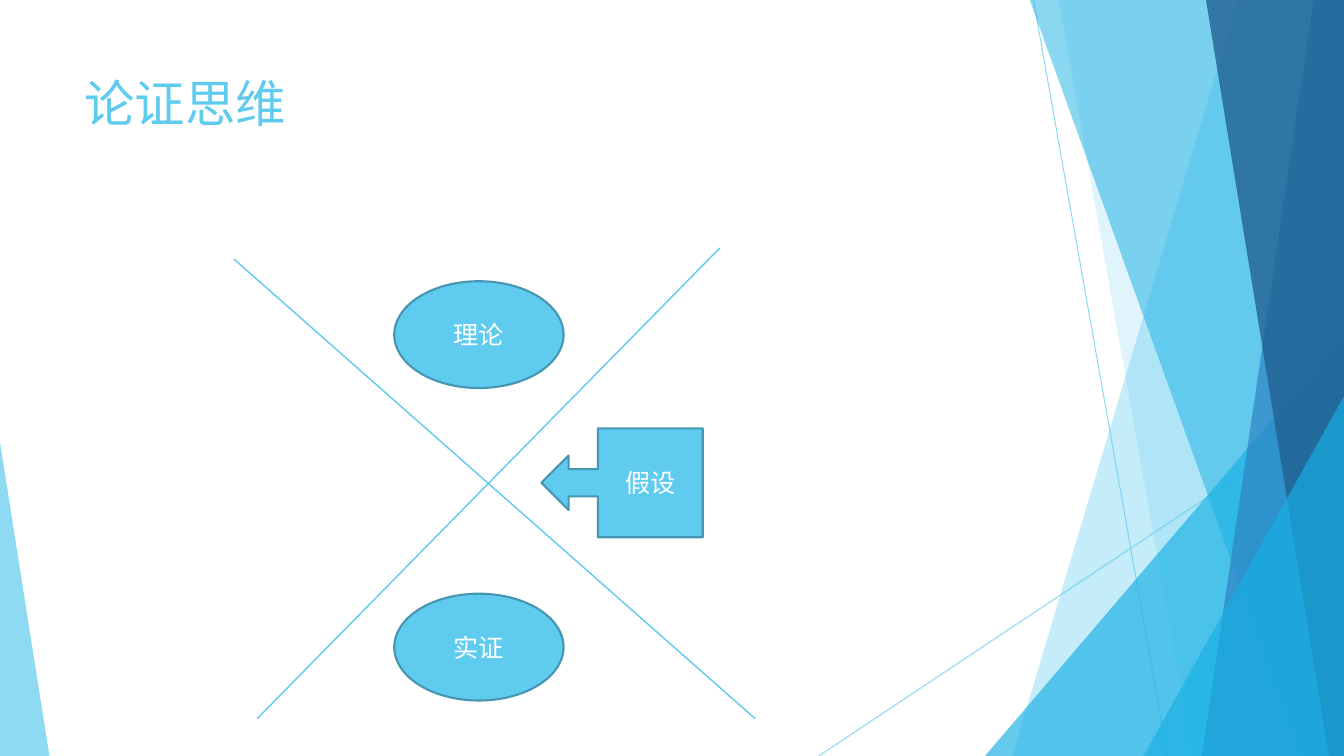
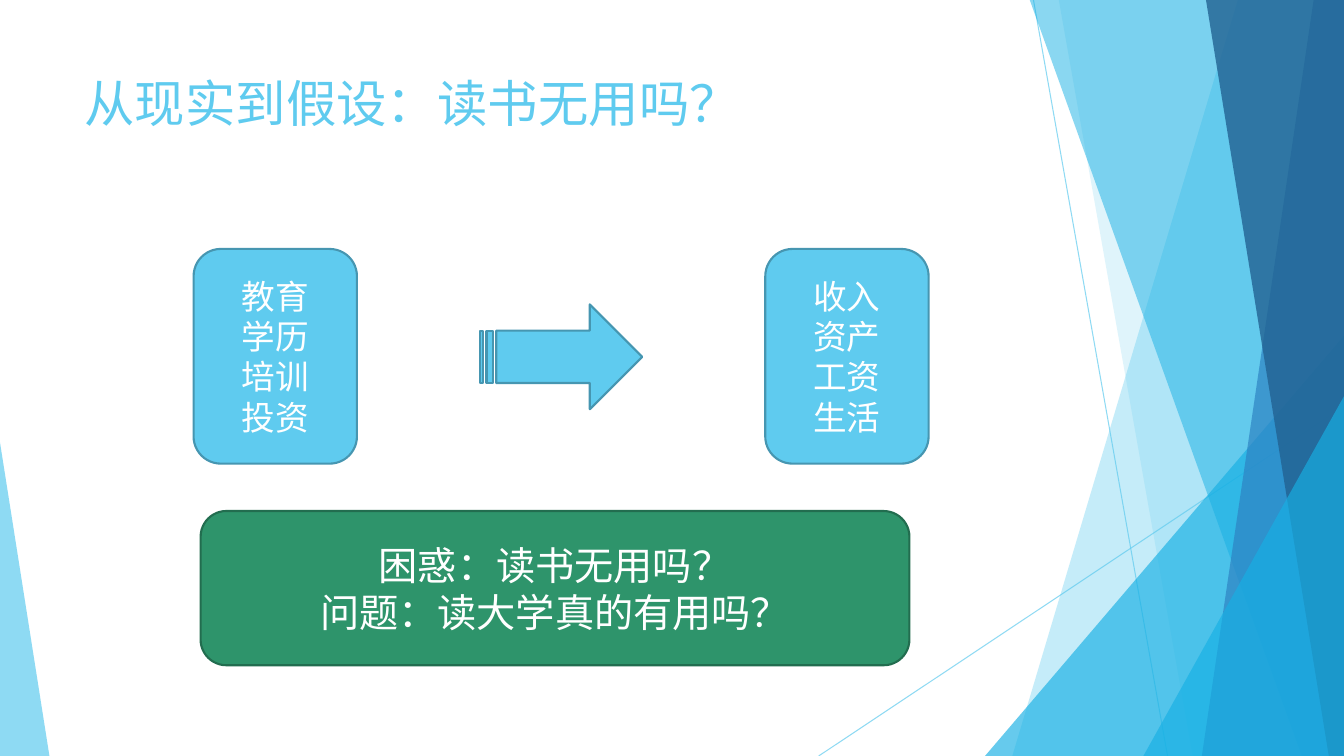
from collections import namedtuple
from dataclasses import dataclass

from lxml import etree
from pptx import Presentation
from pptx.dml.color import RGBColor
from pptx.enum.shapes import MSO_CONNECTOR, MSO_SHAPE
from pptx.enum.text import MSO_ANCHOR, PP_ALIGN
from pptx.oxml.ns import qn
from pptx.util import Pt

STRAIGHT = MSO_CONNECTOR.STRAIGHT
TRIANGLE = MSO_SHAPE.ISOSCELES_TRIANGLE
ELLIPSE = MSO_SHAPE.OVAL
CALLOUT = MSO_SHAPE.LEFT_ARROW_CALLOUT
STRIPED_ARROW = MSO_SHAPE.STRIPED_RIGHT_ARROW
ROUNDED = MSO_SHAPE.ROUNDED_RECTANGLE
TOP, MIDDLE = MSO_ANCHOR.TOP, MSO_ANCHOR.MIDDLE
LEFT, CENTER = PP_ALIGN.LEFT, PP_ALIGN.CENTER

PX = 9144  # 100 px to the inch

Box = namedtuple("Box", "left top width height")


@dataclass(frozen=True)
class Theme:
    font: str = "Lato"
    sky: str = "5FCBEF"
    sky_edge: str = "4696B1"
    cyan: str = "17B0E4"
    blue: str = "2E83C3"
    navy: str = "226292"
    green: str = "2E946B"
    green_edge: str = "226D4F"
    white: str = "FFFFFF"
    title_size: int = 36
    banner_size: int = 28
    card_size: int = 24
    label_size: int = 18
    hairline: float = 0.75
    cross_line: float = 1
    outline: float = 1.5


THEME = Theme()
SLIDE = Box(0, 0, 1333, 750)
TITLE = Box(74, 67, 940, 144)
CROSS = Box(232, 246, 517, 467)
FLOW = Box(192, 247, 729, 413)

# Back to front: (top x, bottom x, colour, opacity); panels reach the right edge
BACK_PANELS = ((1228, 1004, THEME.sky, 36), (1050, 1183, THEME.sky, 20))
FRONT_PANELS = (
    (1021, 1291, THEME.cyan, 50),
    (1303, 1192, THEME.blue, 70),
    (1196, 1318, THEME.navy, 80),
)


def emu(*lengths):
    return [length * PX for length in lengths]


def inside(box, left, top, width, height):
    return Box(box.left + left, box.top + top, width, height)


def set_opacity(shape, percent):
    for color in shape._element.spPr.iter(qn("a:srgbClr")):
        etree.SubElement(color, qn("a:alpha"), val=str(percent * 1000))


def paint(shape, fill, edge=None):
    shape.shadow.inherit = False
    shape.fill.solid()
    shape.fill.fore_color.rgb = RGBColor.from_string(fill)
    if edge:
        shape.line.color.rgb = RGBColor.from_string(edge)
        shape.line.width = Pt(THEME.outline)
    else:
        shape.line.fill.background()


def add_line(slide, start, end, width, opacity=100):
    line = slide.shapes.add_connector(STRAIGHT, *emu(*start, *end))
    line.line.color.rgb = RGBColor.from_string(THEME.sky)
    line.line.width = Pt(width)
    etree.SubElement(line._element.spPr, qn("a:effectLst"))
    if opacity < 100:
        set_opacity(line, opacity)


def write(shape, lines, size, color, anchor=MIDDLE, alignment=CENTER):
    frame = shape.text_frame
    for name, value in {"word_wrap": True, "vertical_anchor": anchor}.items():
        setattr(frame, name, value)
    frame.text = "\n".join(lines)
    for paragraph in frame.paragraphs:
        paragraph.alignment = alignment
        for run in paragraph.runs:
            for name, value in {"name": THEME.font, "size": Pt(size)}.items():
                setattr(run.font, name, value)
            run.font.color.rgb = RGBColor.from_string(color)
            etree.SubElement(run._r.rPr, qn("a:ea"), typeface=THEME.font)


def add_block(slide, kind, box, lines=(), size=THEME.label_size,
              fill=THEME.sky, edge=THEME.sky_edge):
    shape = slide.shapes.add_shape(kind, *emu(*box))
    paint(shape, fill, edge)
    if lines:
        write(shape, lines, size, THEME.white)


def add_panels(slide, box, panels):
    right, bottom = box.left + box.width, box.top + box.height
    for top_x, bottom_x, color, opacity in panels:
        outline = slide.shapes.build_freeform(top_x, box.top - 1, scale=PX)
        outline.add_line_segments(
            [(right, box.top - 1), (right, bottom), (bottom_x, bottom)])
        panel = outline.convert_to_shape()
        paint(panel, color)
        set_opacity(panel, opacity)


def add_corner(slide, box, width, height, apex, color, opacity):
    """Stand a right triangle in a bottom corner; apex 0 is left, 1 is right."""
    corner = inside(box, apex * (box.width - width), box.height - height,
                    width, height)
    triangle = slide.shapes.add_shape(TRIANGLE, *emu(*corner))
    triangle.adjustments[0] = apex
    paint(triangle, color)
    set_opacity(triangle, opacity)


def add_facets(slide, box):
    right, bottom = box.left + box.width, box.top + box.height
    add_line(slide, (1025, box.top), (1158, bottom), THEME.hairline, 70)
    add_line(slide, (right, 403), (812, bottom), THEME.hairline, 70)
    add_panels(slide, box, BACK_PANELS)
    add_corner(slide, box, 356, 417, 1, THEME.cyan, 66)
    add_panels(slide, box, FRONT_PANELS)
    add_corner(slide, box, 199, 357, 1, THEME.cyan, 66)
    add_corner(slide, box, 49, 311, 0, THEME.sky, 70)


def add_titled_slide(presentation, title):
    slide = presentation.slides.add_slide(presentation.slide_layouts[6])
    add_facets(slide, SLIDE)
    title_box = slide.shapes.add_textbox(*emu(*TITLE))
    write(title_box, [title], THEME.title_size, THEME.sky, TOP, LEFT)
    return slide


def add_cross_diagram(slide, box):
    right, bottom = box.left + box.width, box.top + box.height
    add_line(slide, (box.left, box.top + 11), (right, bottom), THEME.cross_line)
    add_line(slide, (box.left + 23, bottom), (right - 35, box.top),
             THEME.cross_line)
    for top, label in ((33, "理论"), (343, "实证")):
        add_block(slide, ELLIPSE, inside(box, 159, top, 168, 106), [label])
    add_block(slide, CALLOUT, inside(box, 305, 179, 160, 108), ["假设"])


def add_flow_diagram(slide, box):
    card_width, card_height, banner_height = 162, 213, 153
    add_block(slide, STRIPED_ARROW, inside(box, 284, 55, 161, 104))
    cards = (
        (0, ("教育", "学历", "培训", "投资")),
        (box.width - card_width, ("收入", "资产", "工资", "生活")),
    )
    for left, lines in cards:
        add_block(slide, ROUNDED, inside(box, left, 0, card_width, card_height),
                  lines, THEME.card_size)
    banner = inside(box, 7, box.height - banner_height, 703, banner_height)
    add_block(slide, ROUNDED, banner,
              ("困惑：读书无用吗？", "问题：读大学真的有用吗？"),
              THEME.banner_size, THEME.green, THEME.green_edge)


def main():
    presentation = Presentation()
    presentation.slide_width, presentation.slide_height = emu(
        SLIDE.width, SLIDE.height)
    add_cross_diagram(add_titled_slide(presentation, "论证思维"), CROSS)
    add_flow_diagram(
        add_titled_slide(presentation, "从现实到假设：读书无用吗？"), FLOW)
    presentation.save("out.pptx")


if __name__ == "__main__":
    main()
